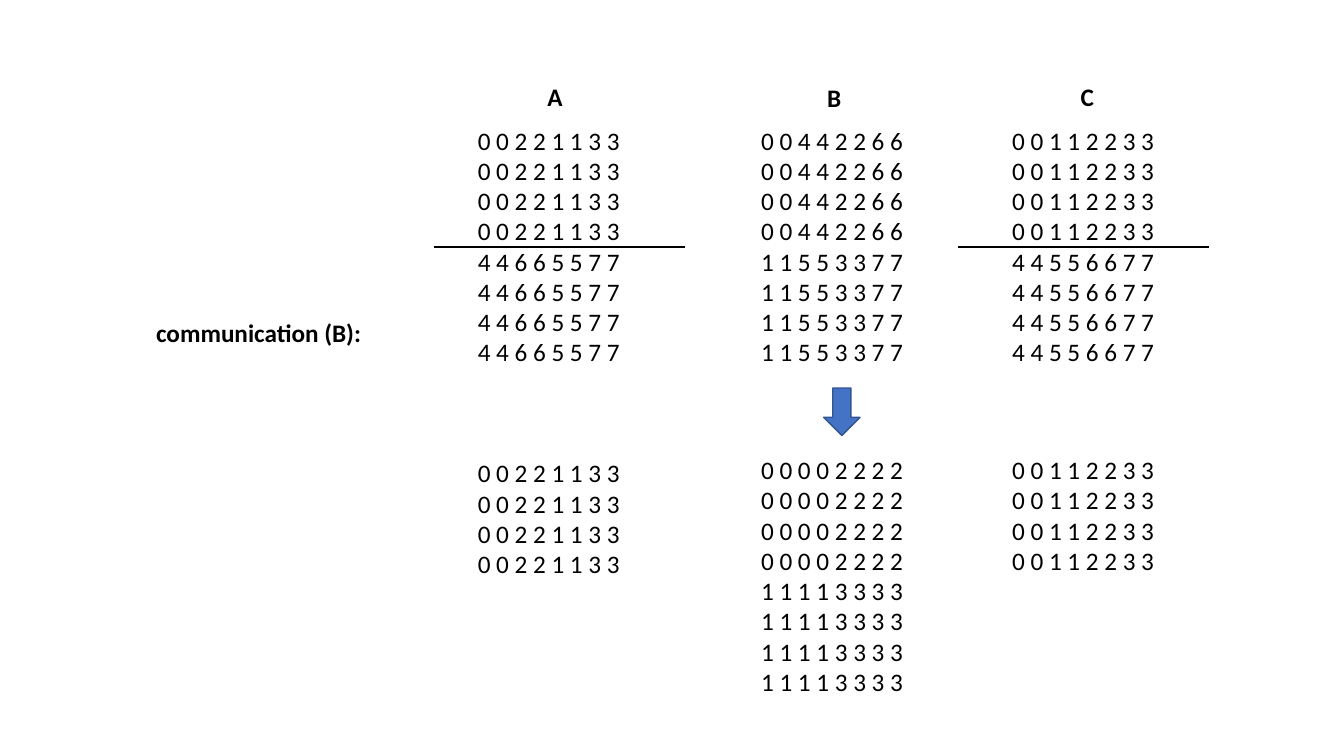
from pptx import Presentation
from pptx.dml.color import RGBColor
from pptx.enum import shapes, text
from pptx.oxml import parse_xml
from pptx.oxml.ns import nsdecls
from pptx.util import Inches, Pt

WIDE, HIGH = 13.33, 7.5
REPEAT = 4
ROW = 0.3025
PAD = 0.1
TOP = 1.19
HEAD = {"width": 0.47, "height": 0.4}
RULE = {"width": 2.49, "y": 2.45}
INK, BLUE, EDGE = "000000", "4472C4", "325491"

COLUMNS = [
    {"name": "A", "left": 4.64, "width": 2.02, "head": (5.27, 0.76), "rule": 4.3,
     "before": ["00221133", "44665577"], "after": ["00221133"], "low": 4.49},
    {"name": "B", "left": 7.45, "width": 2.05, "head": (8.04, 0.77), "rule": None,
     "before": ["00442266", "11553377"], "after": ["00002222", "11113333"], "low": 4.46},
    {"name": "C", "left": 9.94, "width": 2.15, "head": (10.55, 0.76), "rule": 9.5,
     "before": ["00112233", "44556677"], "after": ["00112233"], "low": 4.46},
]
LABEL = ("communication (B):", 1.45, 3.1, 3.07, 0.4)
ARROW = (8.17, 3.85, 0.36, 0.47)


def color(code):
    return RGBColor.from_string(code)


def write(slide, lines, box, bold=False, align=text.PP_ALIGN.LEFT):
    frame = slide.shapes.add_textbox(*map(Inches, box)).text_frame
    frame.word_wrap = True
    frame.text = "\n".join(lines)
    style = {"name": "Calibri", "size": Pt(18), "bold": bold}
    for para in frame.paragraphs:
        para.alignment = align
        for key, value in style.items():
            setattr(para.font, key, value)
        para.font.color.rgb = color(INK)


def grid(slide, groups, left, top, width):
    lines = [" ".join(digits) for digits in groups for _ in range(REPEAT)]
    write(slide, lines, (left, top, width, len(lines) * ROW + PAD))


def rule(slide, left):
    ends = (left, RULE["y"], left + RULE["width"], RULE["y"])
    line = slide.shapes.add_connector(shapes.MSO_CONNECTOR.STRAIGHT, *map(Inches, ends))
    line.line.color.rgb = color(INK)
    line.line.width = Pt(1.5)
    line._element.spPr.append(parse_xml(f"<a:effectLst {nsdecls('a')}/>"))


def arrow(slide):
    shape = slide.shapes.add_shape(shapes.MSO_SHAPE.DOWN_ARROW, *map(Inches, ARROW))
    shape.shadow.inherit = False
    shape.fill.solid()
    shape.fill.fore_color.rgb = color(BLUE)
    shape.line.color.rgb = color(EDGE)
    shape.line.width = Pt(1)


def main():
    deck = Presentation()
    deck.slide_width, deck.slide_height = Inches(WIDE), Inches(HIGH)
    slide = deck.slides.add_slide(deck.slide_layouts[6])
    for col in COLUMNS:
        grid(slide, col["before"], col["left"], TOP, col["width"])
        grid(slide, col["after"], col["left"], col["low"], col["width"])
        head = (*col["head"], HEAD["width"], HEAD["height"])
        write(slide, [col["name"]], head, True, text.PP_ALIGN.CENTER)
        if col["rule"] is not None:
            rule(slide, col["rule"])
    label, *box = LABEL
    write(slide, [label], box, True)
    arrow(slide)
    deck.save("out.pptx")


if __name__ == "__main__":
    main()
